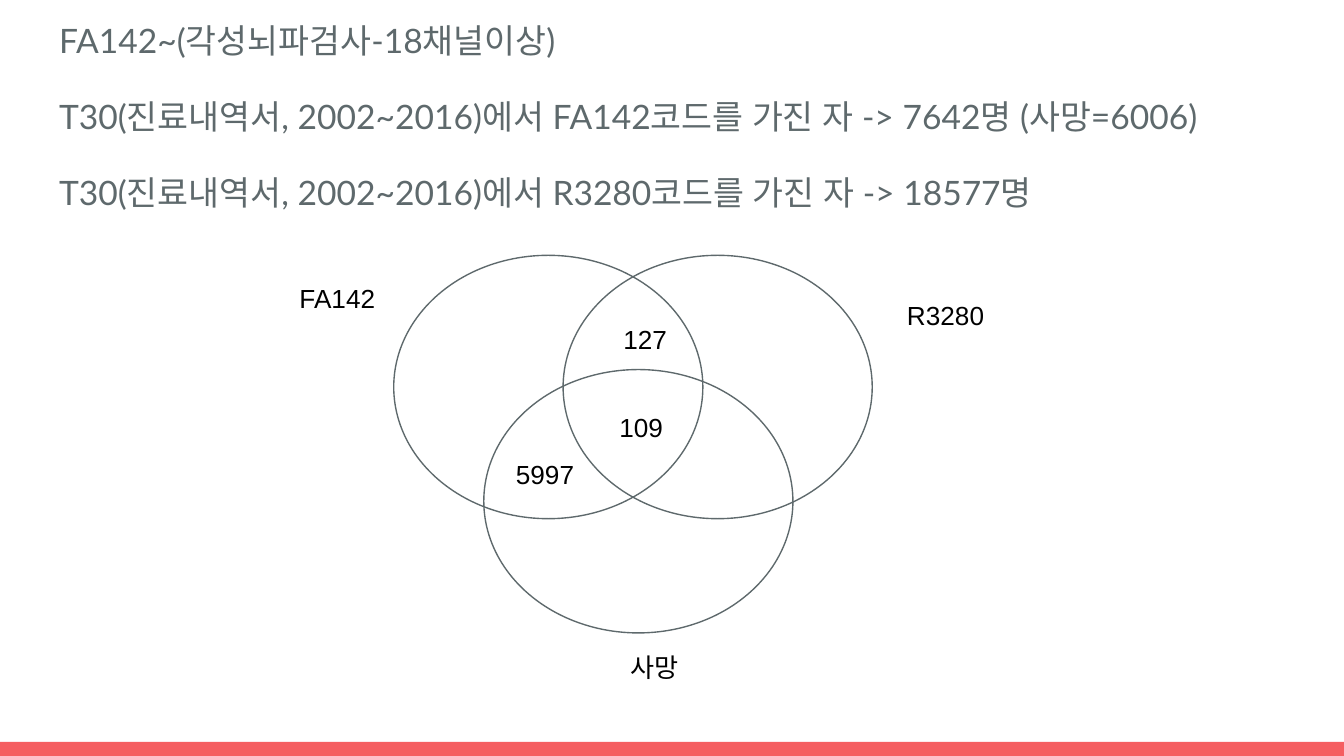
"""Build a slide with a three-set Venn diagram of code and death counts."""
import pptx
import pptx.dml.color
import pptx.enum.shapes
import pptx.enum.text
import pptx.oxml
import pptx.oxml.ns
import pptx.util

CORAL = pptx.dml.color.RGBColor(0xF5, 0x5E, 0x61)
SLATE = pptx.dml.color.RGBColor(0x5E, 0x69, 0x6C)
BLACK = pptx.dml.color.RGBColor(0, 0, 0)

COLS, ROWS = 100, 56.25
CIRCLE_SIZE = (23, 19.6)
CIRCLES = [(41.9, 19), (29.3, 19), (36, 27.5)]
SET_WIDTH, COUNT_WIDTH, LABEL_HEIGHT = 8.8, 5.9, 4
LABELS = [
    ("사망", 45.9, 47.5, SET_WIDTH),
    ("FA142", 21.3, 20, SET_WIDTH),
    ("R3280", 66.5, 21.3, SET_WIDTH),
    ("109", 45.1, 29.6, COUNT_WIDTH),
    ("127", 45.4, 23.1, COUNT_WIDTH),
    ("5997", 37.4, 33.1, SET_WIDTH),
]
FINDINGS = [
    "FA142~(각성뇌파검사-18채널이상)",
    "T30(진료내역서, 2002~2016)에서 FA142코드를 가진 자 -> 7642명 (사망=6006)",
    "T30(진료내역서, 2002~2016)에서 R3280코드를 가진 자 -> 18577명",
]


class SlideBuilder:
    """Hold the style and the current slide, placing elements on a grid."""

    body_font, body_size = "Lato", pptx.util.Pt(18)
    label_font, label_size = "Arial", pptx.util.Pt(14)
    inset = pptx.util.Inches(0.1)

    def __init__(self, prs):
        self.col = prs.slide_width / COLS
        self.row = prs.slide_height / ROWS
        self.s = prs.slides.add_slide(prs.slide_layouts[1])
        title = self.s.shapes.title.element
        title.getparent().remove(title)

    def box(self, x, y, w, h):
        """Return left, top, width and height for a grid area."""
        return [round(v) for v in (x * self.col, y * self.row, w * self.col, h * self.row)]

    def frame(self, sp):
        """Set the insets and wrapping of a shape's text and return its frame."""
        tf = sp.text_frame
        tf.margin_left = tf.margin_right = self.inset
        tf.margin_top = tf.margin_bottom = self.inset
        tf.word_wrap = True
        tf.auto_size = pptx.enum.text.MSO_AUTO_SIZE.NONE
        tf.vertical_anchor = pptx.enum.text.MSO_ANCHOR.TOP
        return tf

    def run(self, p, text, font, size, color):
        """Add one run with the same font for Latin and Korean letters."""
        r = p.add_run()
        r.text = text
        r.font.name, r.font.size = font, size
        r.font.color.rgb = color
        r._r.get_or_add_rPr().append(pptx.oxml.parse_xml(
            f'<a:ea {pptx.oxml.ns.nsdecls("a")} typeface="{font}"/>'))

    def body(self, lines, x, y, w, h):
        """Fill the body placeholder with unbulleted paragraphs."""
        sp = self.s.placeholders[1]
        sp.left, sp.top, sp.width, sp.height = self.box(x, y, w, h)
        tf = self.frame(sp)
        for i, line in enumerate(lines):
            p = tf.add_paragraph() if i else tf.paragraphs[0]
            p.line_spacing = 1.15
            p.space_before = pptx.util.Pt(16 if i else 0)
            props = p._p.get_or_add_pPr()
            props.set("marL", "0")
            props.set("indent", "0")
            props.append(pptx.oxml.parse_xml(
                f"<a:buNone {pptx.oxml.ns.nsdecls('a')}/>"))
            self.run(p, line, self.body_font, self.body_size, SLATE)

    def bar(self, x, y, w, h):
        """Add a solid coloured bar."""
        sp = self.s.shapes.add_shape(
            pptx.enum.shapes.MSO_SHAPE.RECTANGLE, *self.box(x, y, w, h))
        sp.shadow.inherit = False
        sp.fill.solid()
        sp.fill.fore_color.rgb = CORAL
        sp.line.fill.background()

    def circle(self, x, y):
        """Add an outlined set of the diagram."""
        sp = self.s.shapes.add_shape(
            pptx.enum.shapes.MSO_SHAPE.OVAL, *self.box(x, y, *CIRCLE_SIZE))
        sp.shadow.inherit = False
        sp.fill.background()
        sp.line.color.rgb = SLATE
        sp.line.width = pptx.util.Pt(0.75)

    def label(self, text, x, y, w):
        """Add a set name or a count."""
        sp = self.s.shapes.add_textbox(*self.box(x, y, w, LABEL_HEIGHT))
        p = self.frame(sp).paragraphs[0]
        self.run(p, text, self.label_font, self.label_size, BLACK)


def main():
    """Create the presentation and save it."""
    prs = pptx.Presentation()
    prs.slide_width = pptx.util.Inches(10)
    prs.slide_height = prs.slide_width * 9 // 16
    slide = SlideBuilder(prs)
    slide.bar(0, 55.2, COLS, 1.05)
    slide.body(FINDINGS, 3.4, 0, 93.2, 52.5)
    for circle in CIRCLES:
        slide.circle(*circle)
    for label in LABELS:
        slide.label(*label)
    prs.save("out.pptx")


if __name__ == "__main__":
    main()
